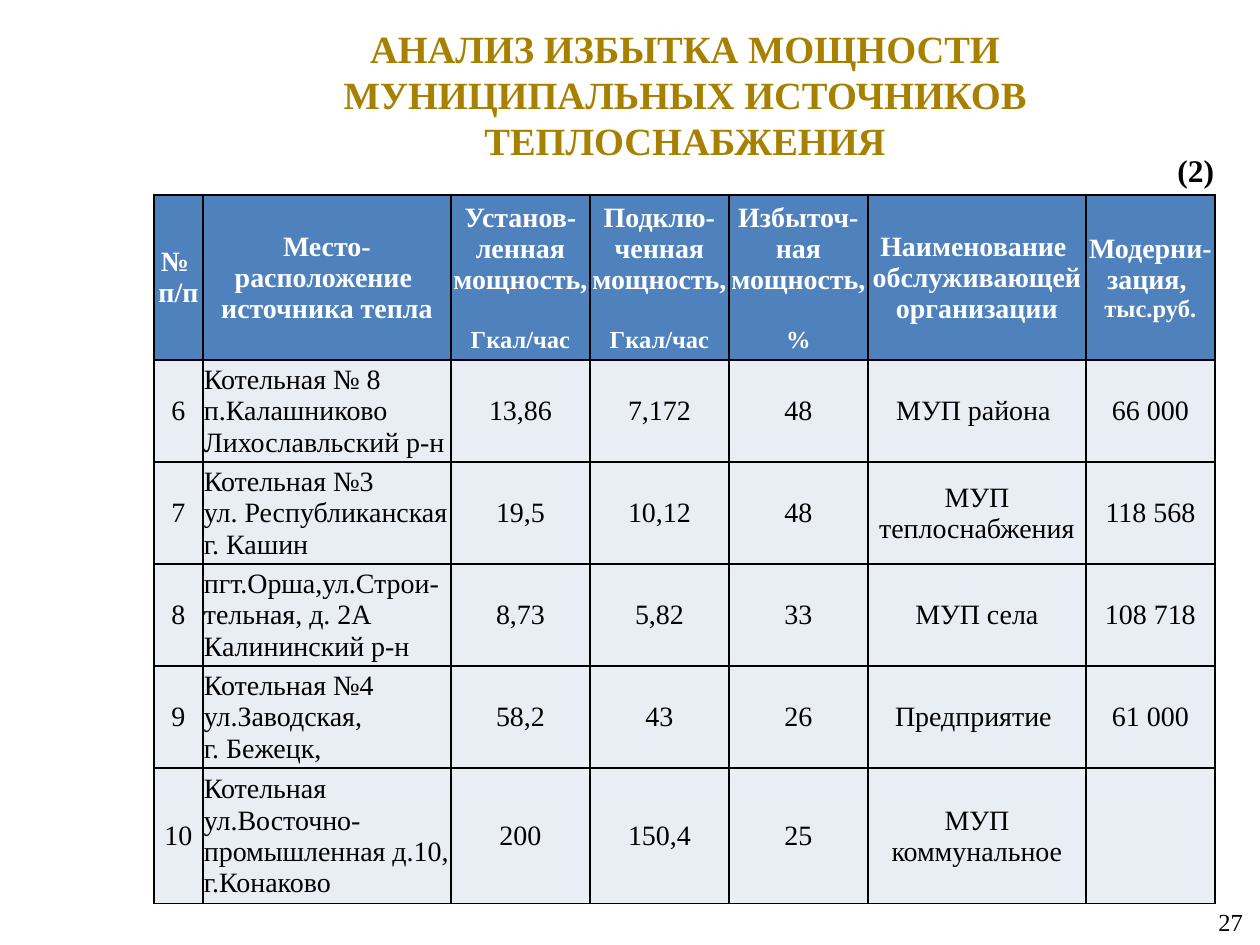
from dataclasses import dataclass

from lxml.etree import SubElement
from pptx import Presentation
from pptx.dml.color import RGBColor
from pptx.enum.text import MSO_ANCHOR, MSO_AUTO_SIZE, PP_ALIGN
from pptx.oxml.ns import qn
from pptx.slide import Slide
from pptx.table import Table, _Cell
from pptx.text.text import Font
from pptx.util import Emu, Pt

PX_PER_INCH = 126


def px(length: int) -> Emu:
    return Emu(round(length * 914400 / PX_PER_INCH))


@dataclass(frozen=True)
class Theme:
    typeface: str = "Times New Roman"
    gold: str = "A88000"
    ink: str = "000000"
    white: str = "FFFFFF"
    header_fill: str = "4F81BD"
    body_fill: str = "E9EDF4"
    title_size: int = 22
    part_size: int = 18
    table_size: int = 16
    small_size: int = 14


THEME = Theme()


@dataclass(frozen=True)
class Column:
    heading: str
    width: int
    unit: str = ""
    align: PP_ALIGN = PP_ALIGN.CENTER


@dataclass(frozen=True)
class Boiler:
    cells: tuple[str, ...]
    height: int = 102


@dataclass(frozen=True)
class Label:
    text: str
    box: tuple[int, int, int, int]
    size: int
    bold: bool
    align: PP_ALIGN
    anchor: MSO_ANCHOR


# "\n" starts a new paragraph, "\v" breaks a line inside one.
COLUMNS = (
    Column("№ \vп/п", 49),
    Column("Место-\nрасположение \vисточника тепла", 248, align=PP_ALIGN.LEFT),
    Column("Установ-ленная мощность, \v", 139, "Гкал/час"),
    Column("Подклю-ченная мощность, \v", 139, "Гкал/час"),
    Column("Избыточ-ная мощность, \v", 139, "%"),
    Column("Наименование \vобслуживающей организации", 218),
    Column("Модерни-зация, \v", 129, "тыс.руб."),
)
HEADER_HEIGHT = 165
BOILERS = (
    Boiler(("6", "Котельная № 8 \vп.Калашниково\nЛихославльский р-н",
            "13,86", "7,172", "48", "МУП района ", "66 000")),
    Boiler(("7", "Котельная №3 \vул. Республиканская г. Кашин",
            "19,5", "10,12", "48", "МУП теплоснабжения", "118 568")),
    Boiler(("8", "пгт.Орша,ул.Строи-тельная, д. 2А\nКалининский р-н",
            "8,73", "5,82", "33", "МУП села", "108 718")),
    Boiler(("9", "Котельная №4\nул.Заводская,\nг. Бежецк,",
            "58,2", "43", "26", "Предприятие ", "61 000")),
    Boiler(("10", "Котельная\vул.Восточно-промышленная д.10, г.Конаково",
            "200", "150,4", "25", "МУП коммунальное", ""), height=135),
)
LABELS = (
    Label("(2)", (1165, 145, 69, 50), THEME.part_size, True,
          PP_ALIGN.JUSTIFY, MSO_ANCHOR.TOP),
    Label("27", (1206, 900, 59, 43), THEME.small_size, False,
          PP_ALIGN.LEFT, MSO_ANCHOR.MIDDLE),
)


def style_font(font: Font, size: int, color: str, bold: bool) -> None:
    font.name = THEME.typeface
    font.size = Pt(size)
    font.bold = bold
    font.color.rgb = RGBColor.from_string(color)


def add_title(slide: Slide, text: str) -> None:
    title = slide.shapes.title
    title.left, title.top, title.width, title.height = map(px, (174, 49, 1022, 90))
    frame = title.text_frame
    frame.auto_size = MSO_AUTO_SIZE.NONE
    frame.vertical_anchor = MSO_ANCHOR.MIDDLE
    frame.text = text
    paragraph = frame.paragraphs[0]
    paragraph.alignment = PP_ALIGN.CENTER
    style_font(paragraph.font, THEME.title_size, THEME.gold, True)


def add_label(slide: Slide, label: Label) -> None:
    frame = slide.shapes.add_textbox(*map(px, label.box)).text_frame
    frame.word_wrap = True
    frame.vertical_anchor = label.anchor
    paragraph = frame.paragraphs[0]
    paragraph.text = label.text
    paragraph.alignment = label.align
    style_font(paragraph.font, label.size, THEME.ink, label.bold)


def outline_cell(cell: _Cell) -> None:
    """Draw all four borders; they must precede the fill in the cell XML."""
    properties = cell._tc.get_or_add_tcPr()
    for side in ("lnL", "lnR", "lnT", "lnB"):
        border = SubElement(properties, qn(f"a:{side}"), w=str(Pt(1)))
        fill = SubElement(border, qn("a:solidFill"))
        SubElement(fill, qn("a:srgbClr"), val=THEME.ink)


def fill_cell(cell: _Cell, text: str, align: PP_ALIGN, fill: str, color: str,
              bold: bool, unit: str = "") -> None:
    outline_cell(cell)
    cell.fill.solid()
    cell.fill.fore_color.rgb = RGBColor.from_string(fill)
    cell.vertical_anchor = MSO_ANCHOR.MIDDLE
    cell.margin_left = cell.margin_right = cell.margin_top = px(1)
    cell.margin_bottom = 0
    cell.text_frame.text = text
    for paragraph in cell.text_frame.paragraphs:
        paragraph.alignment = align
        style_font(paragraph.font, THEME.table_size, color, bold)
    if unit:
        unit_run = cell.text_frame.paragraphs[-1].add_run()
        unit_run.text = unit
        unit_run.font.size = Pt(THEME.small_size)


def fill_table(table: Table) -> None:
    table.horz_banding = False
    table.rows[0].height = px(HEADER_HEIGHT)
    for index, column in enumerate(COLUMNS):
        table.columns[index].width = px(column.width)
        fill_cell(table.cell(0, index), column.heading, PP_ALIGN.CENTER,
                  THEME.header_fill, THEME.white, True, column.unit)
    for row, boiler in enumerate(BOILERS, start=1):
        table.rows[row].height = px(boiler.height)
        for index, (column, text) in enumerate(zip(COLUMNS, boiler.cells)):
            fill_cell(table.cell(row, index), text, column.align,
                      THEME.body_fill, THEME.ink, False)


def main() -> None:
    presentation = Presentation()
    presentation.slide_width, presentation.slide_height = px(1260), px(945)
    slide = presentation.slides.add_slide(presentation.slide_layouts[5])
    add_title(slide, "АНАЛИЗ ИЗБЫТКА МОЩНОСТИ МУНИЦИПАЛЬНЫХ ИСТОЧНИКОВ ТЕПЛОСНАБЖЕНИЯ")
    for label in LABELS:
        add_label(slide, label)
    width = sum(column.width for column in COLUMNS)
    height = HEADER_HEIGHT + sum(boiler.height for boiler in BOILERS)
    fill_table(slide.shapes.add_table(
        len(BOILERS) + 1, len(COLUMNS), px(154), px(195), px(width), px(height)).table)
    presentation.save("out.pptx")


if __name__ == "__main__":
    main()
